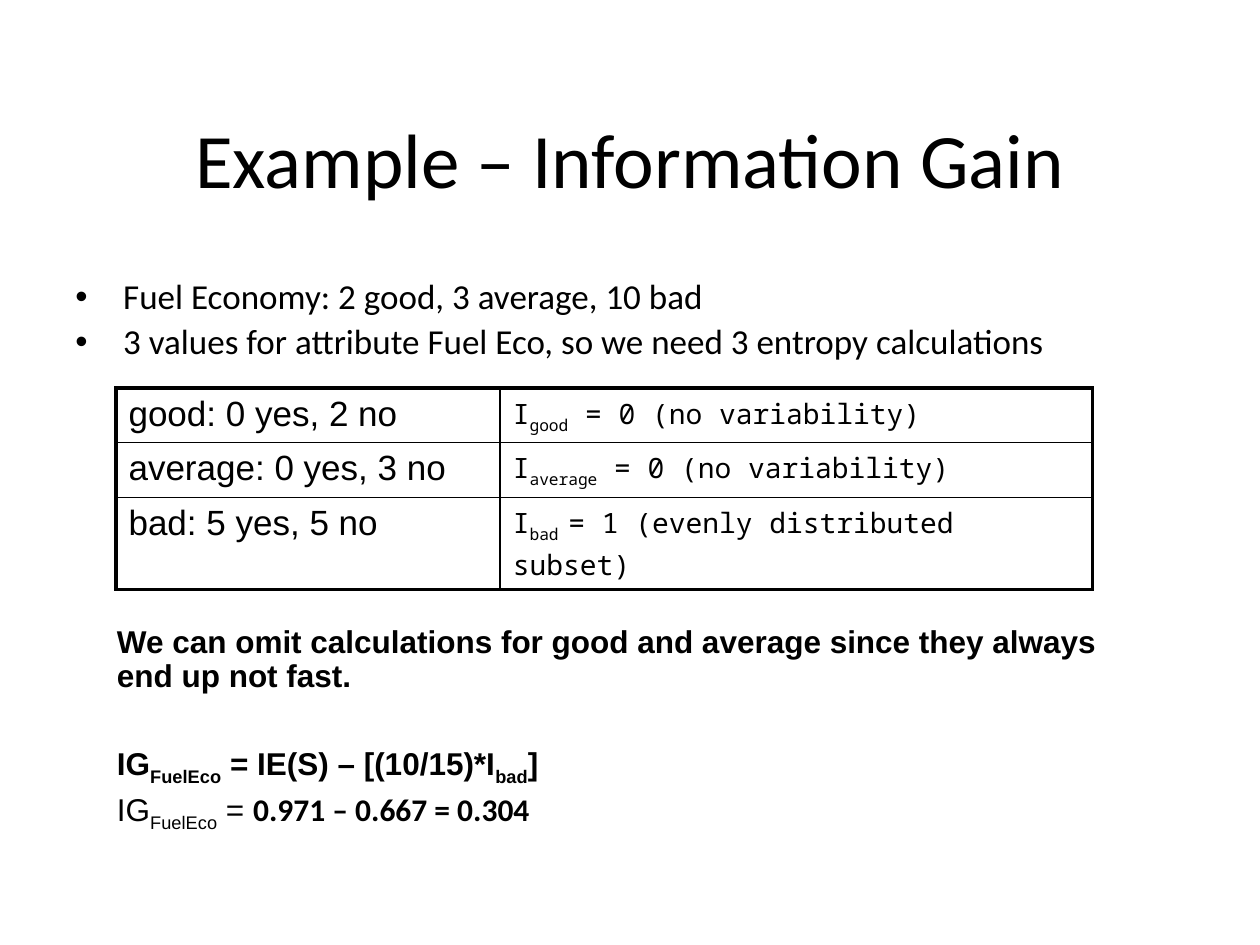
from dataclasses import dataclass
from typing import Optional

from lxml.etree import SubElement
from pptx import Presentation
from pptx.dml.color import RGBColor
from pptx.enum.text import MSO_ANCHOR as Anchor, PP_ALIGN as Align
from pptx.oxml.ns import qn
from pptx.util import Inches, Pt


@dataclass(frozen=True)
class Theme:
    ink: str = "000000"
    head_font: str = "Calibri"
    body_font: str = "Arial"
    mono_font: str = "Noto Sans Mono"
    title_size: int = 44
    large_size: int = 20
    note_size: int = 18
    mono_size: int = 16
    outer_line: float = 2.25
    inner_line: float = 1


@dataclass(frozen=True)
class Span:
    text: str
    subscript: bool = False
    font: Optional[str] = None
    bold: Optional[bool] = None


@dataclass(frozen=True)
class Entropy:
    counts: str
    subset: str
    result: str


THEME = Theme()

BULLETS = [
    "Fuel Economy: 2 good, 3 average, 10 bad",
    "3 values for attribute Fuel Eco, so we need 3 entropy calculations",
]
ENTROPIES = [
    Entropy("good: 0 yes, 2 no", "good", " = 0 (no variability)"),
    Entropy("average: 0 yes, 3 no", "average", " = 0 (no variability)"),
    Entropy("bad: 5 yes, 5 no", "bad ", "= 1 (evenly distributed subset)"),
]
COLUMN_WIDTHS = [3.05, 4.7]
ROW_HEIGHTS = [0.43, 0.43, 0.73]
GAIN = [Span("IG"), Span("FuelEco", subscript=True)]


def write(para, *spans: Span, font: str, size: float, bold: bool = False,
          align=Align.LEFT, spacing: float = 1.0, before: float = 0) -> None:
    """Fill a paragraph with spans that share one format."""
    para.alignment = align
    para.line_spacing = spacing
    para.space_before = Pt(before)
    for span in spans:
        run = para.add_run()
        run.text = span.text
        run.font.name = span.font or font
        run.font.size = Pt(size)
        run.font.bold = bold if span.bold is None else span.bold
        run.font.color.rgb = RGBColor.from_string(THEME.ink)
        if span.subscript:
            run.font._element.set("baseline", "-25000")


def add_bullet(para, indent: float) -> None:
    properties = para._p.get_or_add_pPr()
    properties.set("marL", str(Inches(indent)))
    properties.set("indent", str(-Inches(indent)))
    SubElement(properties, qn("a:buFont"), typeface="Arial")
    SubElement(properties, qn("a:buChar"), char="•")


def add_box(page, left: float, top: float, width: float, height: float):
    box = page.shapes.add_textbox(Inches(left), Inches(top), Inches(width), Inches(height))
    box.text_frame.word_wrap = True
    return box.text_frame


def next_para(frame, index: int):
    return frame.add_paragraph() if index else frame.paragraphs[0]


def set_borders(cell, widths: dict[str, float]) -> None:
    """Draw the cell's edges; they must precede its fill."""
    properties = cell._tc.get_or_add_tcPr()
    for edge, width in widths.items():
        line = SubElement(properties, qn(f"a:{edge}"), w=str(Pt(width)))
        fill = SubElement(line, qn("a:solidFill"))
        SubElement(fill, qn("a:srgbClr"), val=THEME.ink)
    cell.fill.background()


def add_entropy_table(page, left: float, top: float) -> None:
    rows, columns = len(ENTROPIES), len(COLUMN_WIDTHS)
    table = page.shapes.add_table(
        rows, columns, Inches(left), Inches(top),
        Inches(sum(COLUMN_WIDTHS)), Inches(sum(ROW_HEIGHTS))).table
    table.first_row = table.horz_banding = False
    for column, width in zip(table.columns, COLUMN_WIDTHS):
        column.width = Inches(width)
    for row, height in zip(table.rows, ROW_HEIGHTS):
        row.height = Inches(height)

    for row, entropy in enumerate(ENTROPIES):
        counts, value = table.cell(row, 0), table.cell(row, 1)
        write(counts.text_frame.paragraphs[0], Span(entropy.counts),
              font=THEME.body_font, size=THEME.large_size)
        write(value.text_frame.paragraphs[0],
              Span("I"), Span(entropy.subset, subscript=True), Span(entropy.result),
              font=THEME.mono_font, size=THEME.mono_size)
        for column, cell in enumerate((counts, value)):
            outer = {"lnL": column == 0, "lnR": column == columns - 1,
                     "lnT": row == 0, "lnB": row == rows - 1}
            set_borders(cell, {edge: THEME.outer_line if is_outer else THEME.inner_line
                               for edge, is_outer in outer.items()})


def main() -> None:
    deck = Presentation()
    deck.slide_width, deck.slide_height = Inches(10), Inches(7.5)
    page = deck.slides.add_slide(deck.slide_layouts[5])

    # Title
    title = page.shapes.title
    title.left, title.top = Inches(0.5), Inches(0.5)
    title.width, title.height = Inches(9), Inches(1.5)
    title.text_frame.vertical_anchor = Anchor.MIDDLE
    write(title.text_frame.paragraphs[0], Span("Example – Information Gain"),
          font=THEME.head_font, size=THEME.title_size, align=Align.CENTER)

    # Bullets
    frame = add_box(page, 0.5, 2.17, 9, 1.17)
    for index, text in enumerate(BULLETS):
        para = next_para(frame, index)
        add_bullet(para, 0.38)
        write(para, Span(text), font=THEME.head_font, size=THEME.large_size,
              spacing=0.9, before=4 * index)

    # Entropy of each subset
    add_entropy_table(page, 0.92, 3.08)

    # Conclusion and information gain
    notes = [
        (0, True, [Span("We can omit calculations for good and average "
                        "since they always end up not fast.")]),
        (29, True, [*GAIN, Span(" = IE(S) – [(10/15)*I"),
                    Span("bad", subscript=True), Span("]")]),
        (4, False, [*GAIN, Span(" = "),
                    Span("0.971 – 0.667 = 0.304", font=THEME.head_font, bold=True)]),
    ]
    frame = add_box(page, 0.83, 4.92, 8.42, 1.64)
    for index, (before, bold, spans) in enumerate(notes):
        write(next_para(frame, index), *spans, font=THEME.body_font,
              size=THEME.note_size, bold=bold, spacing=0.9, before=before)

    deck.save("out.pptx")


if __name__ == "__main__":
    main()
